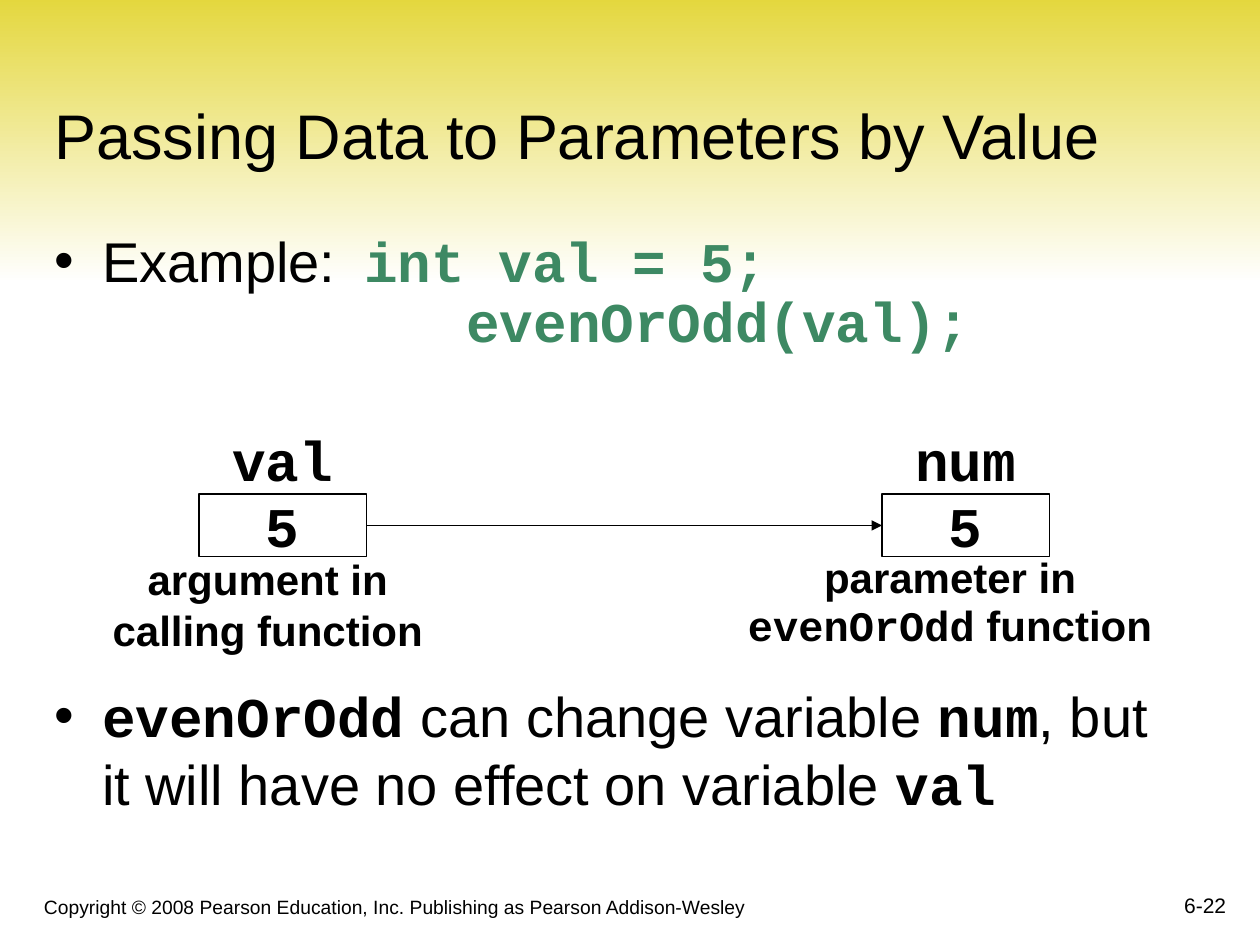
from pptx import Presentation
from pptx.dml.color import RGBColor
from pptx.enum.shapes import MSO_CONNECTOR, MSO_SHAPE
from pptx.enum.text import MSO_ANCHOR, MSO_AUTO_SIZE, PP_ALIGN
from pptx.oxml.ns import qn
from pptx.util import Pt
from lxml import etree

PX = 9144  # EMU per px, 100 px to the inch
RECT, LINE = MSO_SHAPE.RECTANGLE, MSO_CONNECTOR.STRAIGHT
TOP, MID, LOW = MSO_ANCHOR.TOP, MSO_ANCHOR.MIDDLE, MSO_ANCHOR.BOTTOM
LEFT, CENTER, RIGHT = PP_ALIGN.LEFT, PP_ALIGN.CENTER, PP_ALIGN.RIGHT
FIXED = MSO_AUTO_SIZE.NONE
SANS, MONO = "Arial", "Courier New"
BLACK, WHITE, GREEN, GOLD = "000000", "FFFFFF", "3D8963", "E3D638"


def color(code):
    return RGBColor.from_string(code)


def sub(node, tag, **attrs):
    return etree.SubElement(node, qn(tag), attrs)


class Deck:
    def __init__(self, slide):
        self.slide = slide
        self.shapes = slide.shapes

    def place(self, shape, box):
        shape.left, shape.top, shape.width, shape.height = [n * PX for n in box]

    def style(self, run, size, font=SANS, bold=False, ink=BLACK):
        run.font.size, run.font.name, run.font.bold = Pt(size), font, bold
        run.font.color.rgb = color(ink)

    def words(self, para, parts, size, align=LEFT, gap=0, lead=1.0):
        """Fill a paragraph with parts of (text, font, bold, ink)."""
        para.alignment, para.line_spacing = align, lead
        para.space_before = Pt(gap)
        for text, *look in parts:
            run = para.add_run()
            run.text = text
            self.style(run, size, *look)

    def frame(self, shape, anchor, wrap=True):
        frame = shape.text_frame
        frame.auto_size, frame.word_wrap = FIXED, wrap
        frame.vertical_anchor = anchor
        return frame

    def band(self, box):
        shape = self.shapes.add_shape(RECT, *[n * PX for n in box])
        shape.shadow.inherit = False
        shape.line.fill.background()
        shape.fill.gradient()
        shape.fill.gradient_angle = 270
        for stop, code, spot in zip(shape.fill.gradient_stops, (GOLD, WHITE), (0, 1)):
            stop.color.rgb, stop.position = color(code), spot
        shape.element.getparent().insert(2, shape.element)  # to the back

    def title(self, box, text):
        shape = self.shapes.title
        self.place(shape, box)
        para = self.frame(shape, LOW).paragraphs[0]
        self.words(para, [(text,)], 36)

    def body(self, box, items):
        """Each item: parts, margin, hang, tab, gap, line spacing."""
        shape = self.slide.placeholders[1]
        self.place(shape, box)
        frame = self.frame(shape, TOP)
        frame.margin_right = 0
        for i, (parts, margin, hang, tab, gap, lead) in enumerate(items):
            para = frame.add_paragraph() if i else frame.paragraphs[0]
            props = para._p.get_or_add_pPr()
            props.set("marL", str(margin * PX))
            props.set("indent", str(-hang * PX))
            if hang:
                sub(props, "a:buChar", char="•")
            else:
                sub(props, "a:buNone")
            if tab:
                sub(sub(props, "a:tabLst"), "a:tab", pos=str(tab * PX), algn="l")
            self.words(para, parts, 32, gap=gap, lead=lead)

    def text(self, box, lines, size, align=LEFT, anchor=TOP, gap=0, lead=1.0):
        shape = self.shapes.add_textbox(*[n * PX for n in box])
        frame = self.frame(shape, anchor)
        for i, parts in enumerate(lines):
            para = frame.add_paragraph() if i else frame.paragraphs[0]
            self.words(para, parts, size, align, gap if i else 0, lead)

    def cell(self, box, text):
        shape = self.shapes.add_shape(RECT, *[n * PX for n in box])
        shape.shadow.inherit = False
        shape.fill.background()
        shape.line.color.rgb, shape.line.width = color(BLACK), Pt(0.75)
        para = self.frame(shape, MID, False).paragraphs[0]
        self.words(para, [(text, MONO, True)], 32, CENTER)
        return shape

    def arrow(self, start, end):
        line = self.shapes.add_connector(LINE, 0, 0, 0, 0)
        line.begin_connect(start, 3)
        line.end_connect(end, 1)
        line.line.color.rgb, line.line.width = color(BLACK), Pt(0.75)
        sub(line.get_or_add_ln(), "a:tailEnd", type="triangle")
        sub(line.element.spPr, "a:effectLst")


def main():
    prs = Presentation()
    prs.slide_width, prs.slide_height = 1000 * PX, 750 * PX
    deck = Deck(prs.slides.add_slide(prs.slide_layouts[1]))

    # Header and footer
    deck.band((0, -8, 1000, 233))
    deck.title((33, 33, 942, 109), "Passing Data to Parameters by Value")
    note = "Copyright © 2008 Pearson Education, Inc. Publishing as Pearson Addison-Wesley"
    deck.text((25, 692, 608, 42), [[(note,)]], 11, anchor=LOW)
    deck.text((775, 683, 208, 50), [[("6-22",)]], 12, RIGHT, LOW)

    # Example code and conclusion, with room for the diagram between
    call = [("evenOrOdd(val);", MONO, True, GREEN)]
    example = [("Example:\t",), ("int val = 5;", MONO, True, GREEN)]
    result = [
        ("evenOrOdd", MONO, True), (" can change variable ",),
        ("num", MONO, True), (", but it will have no effect on variable ",),
        ("val", MONO, True),
    ]
    deck.body((33, 175, 907, 500), [
        (example, 38, 38, 246, 0, 1.0),
        (call, 327, 0, 0, 0, 0.9),
        (result, 38, 38, 0, 187, 1.0),
    ])

    # Variables: name above, value in the box
    cells = []
    for left, name in ((158, "val"), (700, "num")):
        deck.text((left, 333, 133, 64), [[(name, MONO, True)]], 32, CENTER)
        cells.append(deck.cell((left, 392, 133, 50), "5"))
    deck.arrow(*cells)

    # Captions below the boxes
    bold = (SANS, True)
    deck.text((75, 442, 275, 83), [[("argument in", *bold)], [("calling function", *bold)]],
              24, CENTER, gap=6, lead=0.8)
    deck.text((575, 442, 358, 79),
              [[("parameter in", *bold)], [("evenOrOdd", MONO, True), (" function", *bold)]],
              24, CENTER, gap=6, lead=0.75)

    prs.save("out.pptx")


if __name__ == "__main__":
    main()
